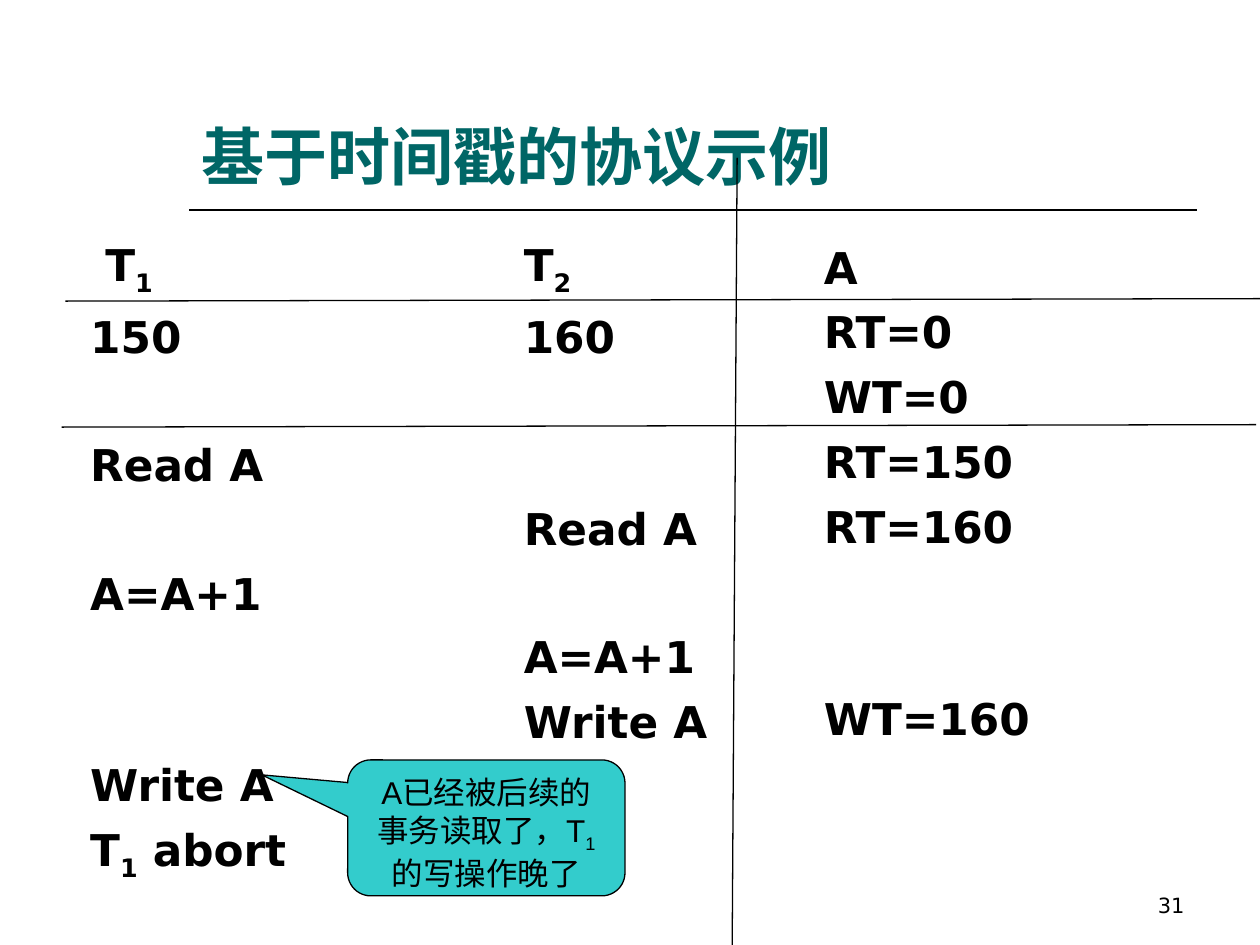
from lxml.etree import SubElement
from pptx import Presentation
from pptx.dml.color import RGBColor
from pptx.enum.shapes import MSO_CONNECTOR, MSO_SHAPE
from pptx.enum.text import MSO_ANCHOR, PP_ALIGN
from pptx.oxml.ns import qn
from pptx.util import Cm, Pt

BLACK = RGBColor(0x00, 0x00, 0x00)
TEAL = RGBColor(0x00, 0x66, 0x66)
AQUA = RGBColor(0x33, 0xCC, 0xCC)

CELL = {"size": Pt(25), "name": "DejaVu Sans", "bold": True}
NOTE = {"size": Pt(18), "name": "Arial"}
PAGE = {"size": Pt(12), "name": "DejaVu Sans"}
HEAD = {"size": Pt(36), "name": "Arial", "bold": True}

GAP = 7.1    # points between neighbouring rows
PITCH = 36.2  # points from one row to the next

# Left, top, width in cm, then the text of each row by row number
COLUMNS = [
    (1.57, 4.67, 6.3, {0: " T_1", 1: "150", 3: "Read A", 5: "A=A+1",
                       8: "Write A", 9: "T_1 abort"}),
    (10.31, 4.67, 5.54, {0: "T_2", 1: "160", 4: "Read A", 6: "A=A+1",
                         7: "Write A"}),
    (16.36, 4.72, 6.38, {0: "A", 1: "RT=0", 2: "WT=0", 3: "RT=150",
                         4: "RT=160", 7: "WT=160"}),
]

# x1, y1, x2, y2 in cm, then the width in points
RULES = [
    (3.81, 4.24, 24.13, 4.24, 1),
    (1.32, 6.07, 25.4, 6.02, 0.75),
    (1.24, 8.61, 25.32, 8.56, 0.75),
    (14.86, 3.18, 14.76, 19.05, 0.75),
]


def style(font, form, color=BLACK):
    for key, value in form.items():
        setattr(font, key, value)
    font.color.rgb = color


def write(para, text, form):
    """Fill a paragraph; the character after each underscore is a subscript."""
    first, *rest = text.split("_")
    parts = [(first, False)]
    for part in rest:
        parts += [(part[0], True), (part[1:], False)]
    for part, low in parts:
        if part:
            run = para.add_run()
            run.text = part
            style(run.font, form)
            if low:
                run.font._element.set("baseline", "-25000")


def add_box(slide, left, top, width, height):
    box = slide.shapes.add_textbox(Cm(left), Cm(top), Cm(width), Cm(height))
    box.text_frame.word_wrap = True
    return box.text_frame


def add_column(slide, left, top, width, rows):
    """Place each text on its row, with spacing in place of unused rows."""
    frame = add_box(slide, left, top, width, 13.94)
    last = None
    for row, text in rows.items():
        if last is None:
            para = frame.paragraphs[0]
        else:
            para = frame.add_paragraph()
            para.space_before = Pt(GAP + PITCH * (row - last - 1))
        write(para, text, CELL)
        last = row


def add_rule(slide, x1, y1, x2, y2, width):
    rule = slide.shapes.add_connector(
        MSO_CONNECTOR.STRAIGHT, Cm(x1), Cm(y1), Cm(x2), Cm(y2))
    rule.line.color.rgb = BLACK
    rule.line.width = Pt(width)
    SubElement(rule._element.spPr, qn("a:effectLst"))


def add_title(slide, text):
    title = slide.shapes.title
    title.left, title.top = Cm(3.81), Cm(0.84)
    title.width, title.height = Cm(20.32), Cm(3.18)
    frame = title.text_frame
    frame.text = text
    frame.vertical_anchor = MSO_ANCHOR.BOTTOM
    para = frame.paragraphs[0]
    para.alignment = PP_ALIGN.LEFT
    style(para.runs[0].font, HEAD, TEAL)


def add_note(slide, text):
    note = slide.shapes.add_shape(
        MSO_SHAPE.ROUNDED_RECTANGULAR_CALLOUT,
        Cm(7.01), Cm(15.32), Cm(5.59), Cm(2.74))
    for i, value in enumerate((-0.81, -0.39, 0.17)):
        note.adjustments[i] = value
    note.shadow.inherit = False
    note.fill.solid()
    note.fill.fore_color.rgb = AQUA
    note.line.color.rgb = BLACK
    note.line.width = Pt(0.75)
    frame = note.text_frame
    frame.word_wrap = True
    frame.vertical_anchor = MSO_ANCHOR.TOP
    para = frame.paragraphs[0]
    para.alignment = PP_ALIGN.CENTER
    write(para, text, NOTE)


def add_page(slide, text):
    frame = add_box(slide, 18.21, 17.35, 5.92, 1.27)
    frame.vertical_anchor = MSO_ANCHOR.BOTTOM
    para = frame.paragraphs[0]
    para.alignment = PP_ALIGN.RIGHT
    write(para, text, PAGE)


def main():
    deck = Presentation()
    deck.slide_width, deck.slide_height = Cm(25.4), Cm(19.05)
    slide = deck.slides.add_slide(deck.slide_layouts[5])
    add_title(slide, "基于时间戳的协议示例")
    for column in COLUMNS:
        add_column(slide, *column)
    for rule in RULES:
        add_rule(slide, *rule)
    add_note(slide, "A已经被后续的事务读取了，T_1的写操作晚了")
    add_page(slide, "31")
    deck.save("out.pptx")


if __name__ == "__main__":
    main()
